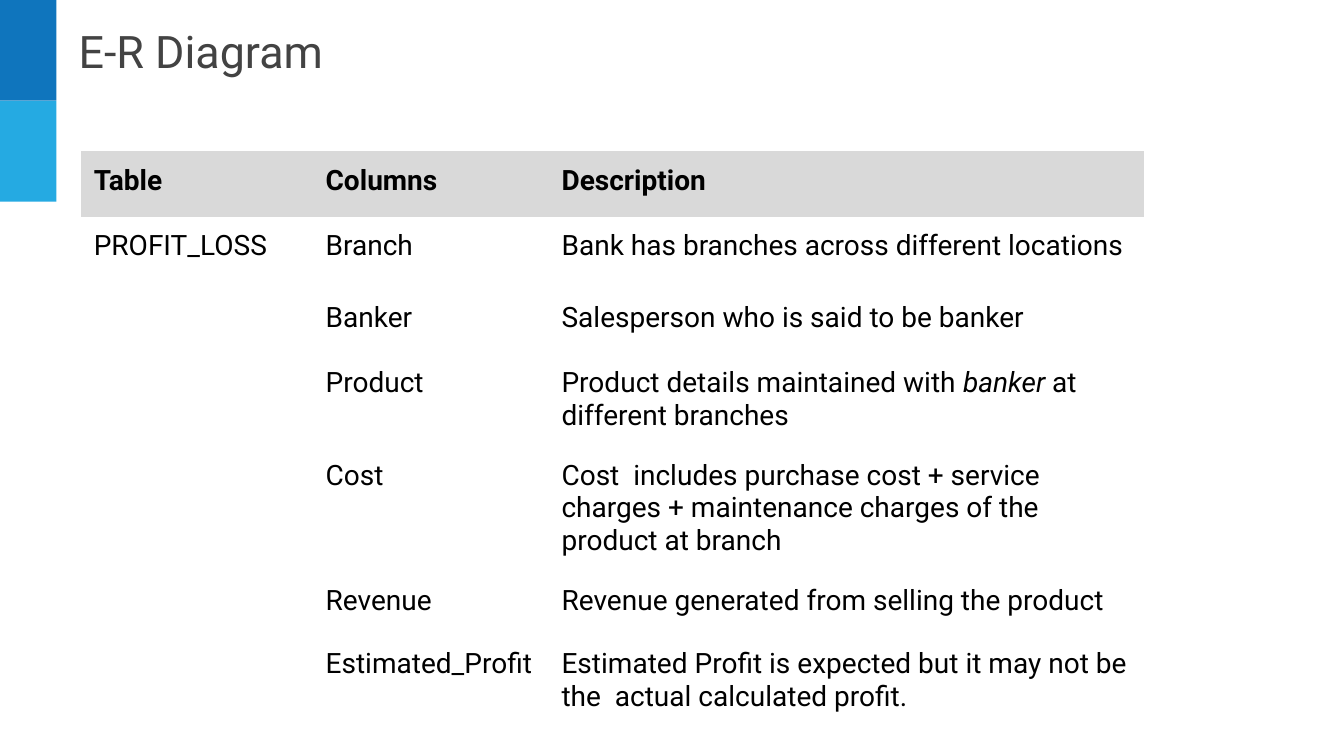
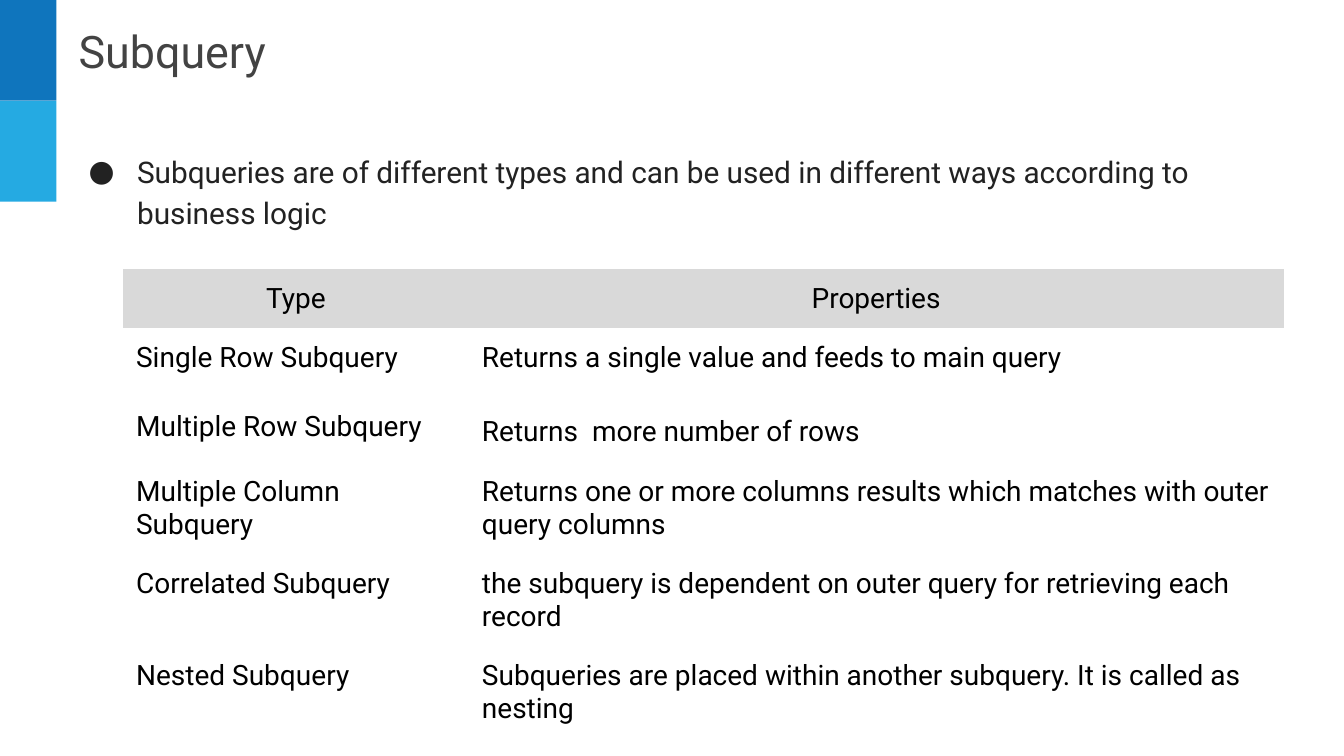
from dataclasses import dataclass

import lxml.etree
import pptx
import pptx.dml.color
import pptx.enum.shapes
import pptx.enum.text
import pptx.oxml.ns
import pptx.util

Inches = pptx.util.Inches
Pt = pptx.util.Pt
RGB = pptx.dml.color.RGBColor.from_string
ALIGN = pptx.enum.text.PP_ALIGN
qn = pptx.oxml.ns.qn


@dataclass(frozen=True)
class Theme:
    font: str = "Roboto"
    title: str = "434343"
    body: str = "222222"
    cell: str = "000000"
    header: str = "D9D9D9"
    bands: tuple[str, ...] = ("0F75BD", "25AAE2")
    title_size: float = 32
    body_size: float = 21.3
    cell_size: float = 20
    inset: float = 0.13
    line_spacing: float = 1.15
    plain_table: str = "{2D5ABB26-0587-4C30-8999-92F81FD0307C}"


@dataclass(frozen=True)
class Run:
    text: str
    italic: bool = False


@dataclass(frozen=True)
class Cell:
    runs: tuple[Run, ...]
    spacing: float | None = None


@dataclass(frozen=True)
class Grid:
    left: float
    top: float
    cols: tuple[float, ...]
    heights: tuple[float, ...]
    rows: tuple[tuple[str | Cell, ...], ...]
    header_bold: bool = False
    header_align: ALIGN = ALIGN.LEFT


THEME = Theme()


# Shared drawing functions
def add_text(p, text: str, *, size: float, color: str, bold: bool = False,
             italic: bool = False) -> None:
    r = p.add_run()
    r.text = text
    f = r.font
    f.name, f.size, f.bold, f.italic = THEME.font, Pt(size), bold, italic
    f.color.rgb = RGB(color)


def set_margins(target) -> None:
    target.margin_left = target.margin_right = Inches(THEME.inset)
    target.margin_top = target.margin_bottom = Inches(THEME.inset)


def place(sp, left: float, top: float, width: float, height: float):
    """Move a placeholder and return its first paragraph."""
    sp.left, sp.top = Inches(left), Inches(top)
    sp.width, sp.height = Inches(width), Inches(height)
    tf = sp.text_frame
    tf.word_wrap = True
    tf.auto_size = pptx.enum.text.MSO_AUTO_SIZE.NONE
    tf.vertical_anchor = pptx.enum.text.MSO_ANCHOR.TOP
    set_margins(tf)
    p = tf.paragraphs[0]
    p.alignment = ALIGN.LEFT
    return p


def add_slide(prs, layout: str, title: str):
    s = prs.slides.add_slide(prs.slide_layouts.get_by_name(layout))
    for i, color in enumerate(THEME.bands):
        sp = s.shapes.add_shape(pptx.enum.shapes.MSO_SHAPE.RECTANGLE,
                                Inches(0), Inches(i), Inches(0.56), Inches(1))
        sp.shadow.inherit = False
        sp.fill.solid()
        sp.fill.fore_color.rgb = RGB(color)
        sp.line.fill.background()
    p = place(s.shapes.title, 0.65, 0.11, 10.86, 0.77)
    add_text(p, title, size=THEME.title_size, color=THEME.title)
    return s


def add_bullet(sp, text: str) -> None:
    p = place(sp, 0.56, 1.34, 12.43, 1.11)
    p.line_spacing = THEME.line_spacing
    p.space_before = Pt(16)
    add_text(p, text, size=THEME.body_size, color=THEME.body)
    pPr = p._p.get_or_add_pPr()
    pPr.set("marL", str(Inches(0.67)))
    pPr.set("indent", str(Inches(-0.48)))
    clr = lxml.etree.SubElement(pPr, qn("a:buClr"))
    lxml.etree.SubElement(clr, qn("a:srgbClr"), val=THEME.body)
    lxml.etree.SubElement(pPr, qn("a:buFont"), typeface=THEME.font)
    lxml.etree.SubElement(pPr, qn("a:buChar"), char="●")


def add_grid(s, grid: Grid) -> None:
    frame = s.shapes.add_table(len(grid.rows), len(grid.cols),
                               Inches(grid.left), Inches(grid.top),
                               Inches(sum(grid.cols)), Inches(sum(grid.heights)))
    table = frame.table
    table.first_row = table.horz_banding = False
    table._tbl.tblPr.find(qn("a:tableStyleId")).text = THEME.plain_table
    for column, width in zip(table.columns, grid.cols):
        column.width = Inches(width)
    for i, (height, row) in enumerate(zip(grid.heights, grid.rows)):
        table.rows[i].height = Inches(height)
        for j, value in enumerate(row):
            fill_cell(table.cell(i, j), value, grid, header=i == 0)


def fill_cell(cell, value: str | Cell, grid: Grid, header: bool) -> None:
    set_margins(cell)
    if header:
        cell.fill.solid()
        cell.fill.fore_color.rgb = RGB(THEME.header)
    else:
        cell.fill.background()
    if not value:
        return
    content = value if isinstance(value, Cell) else Cell((Run(value),))
    p = cell.text_frame.paragraphs[0]
    p.alignment = grid.header_align if header else ALIGN.LEFT
    if content.spacing:
        p.line_spacing = content.spacing
    for run in content.runs:
        add_text(p, run.text, size=THEME.cell_size, color=THEME.cell,
                 bold=header and grid.header_bold, italic=run.italic)


# Table contents
PROFIT_LOSS = Grid(
    left=0.8, top=1.5, cols=(2.3, 2.34, 5.91),
    heights=(0.65, 0.71, 0.65, 0.91, 1.23, 0.63, 1.04),
    header_bold=True,
    rows=(
        ("Table", "Columns", "Description"),
        ("PROFIT_LOSS", "Branch", "Bank has branches across different locations"),
        ("", "Banker", "Salesperson who is said to be banker"),
        ("", "Product", Cell((Run("Product details maintained with "),
                              Run("banker ", italic=True),
                              Run("at different branches")))),
        ("", "Cost", "Cost  includes purchase cost + service charges + "
                     "maintenance charges of the product at branch"),
        ("", "Revenue", "Revenue generated from selling the product"),
        ("", "Estimated_Profit", "Estimated Profit is expected but it may not be "
                                 "the  actual calculated profit."),
    ),
)

SUBQUERY_TYPES = Grid(
    left=1.22, top=2.67, cols=(3.43, 8.08),
    heights=(0.57, 0.69, 0.6, 0.89, 0.89, 1.01),
    header_align=ALIGN.CENTER,
    rows=(
        ("Type", "Properties"),
        ("Single Row Subquery", "Returns a single value and feeds to main query"),
        ("Multiple Row Subquery", Cell((Run("Returns  more number of rows"),),
                                       spacing=THEME.line_spacing)),
        ("Multiple Column Subquery", "Returns one or more columns results which "
                                     "matches with outer query columns"),
        ("Correlated Subquery", "the subquery is dependent on outer query for "
                                "retrieving each record"),
        ("Nested Subquery", "Subqueries are placed within another subquery. "
                            "It is called as nesting"),
    ),
)


def main() -> None:
    prs = pptx.Presentation()
    prs.slide_width, prs.slide_height = Inches(13.33), Inches(7.5)

    # Slide 1: table columns
    s = add_slide(prs, "Title Only", "E-R Diagram")
    add_grid(s, PROFIT_LOSS)

    # Slide 2: subquery types
    s = add_slide(prs, "Title and Content", "Subquery")
    add_bullet(s.placeholders[1], "Subqueries are of different types and can be used "
                                  "in different ways according to business logic")
    add_grid(s, SUBQUERY_TYPES)

    prs.save("out.pptx")


if __name__ == "__main__":
    main()
